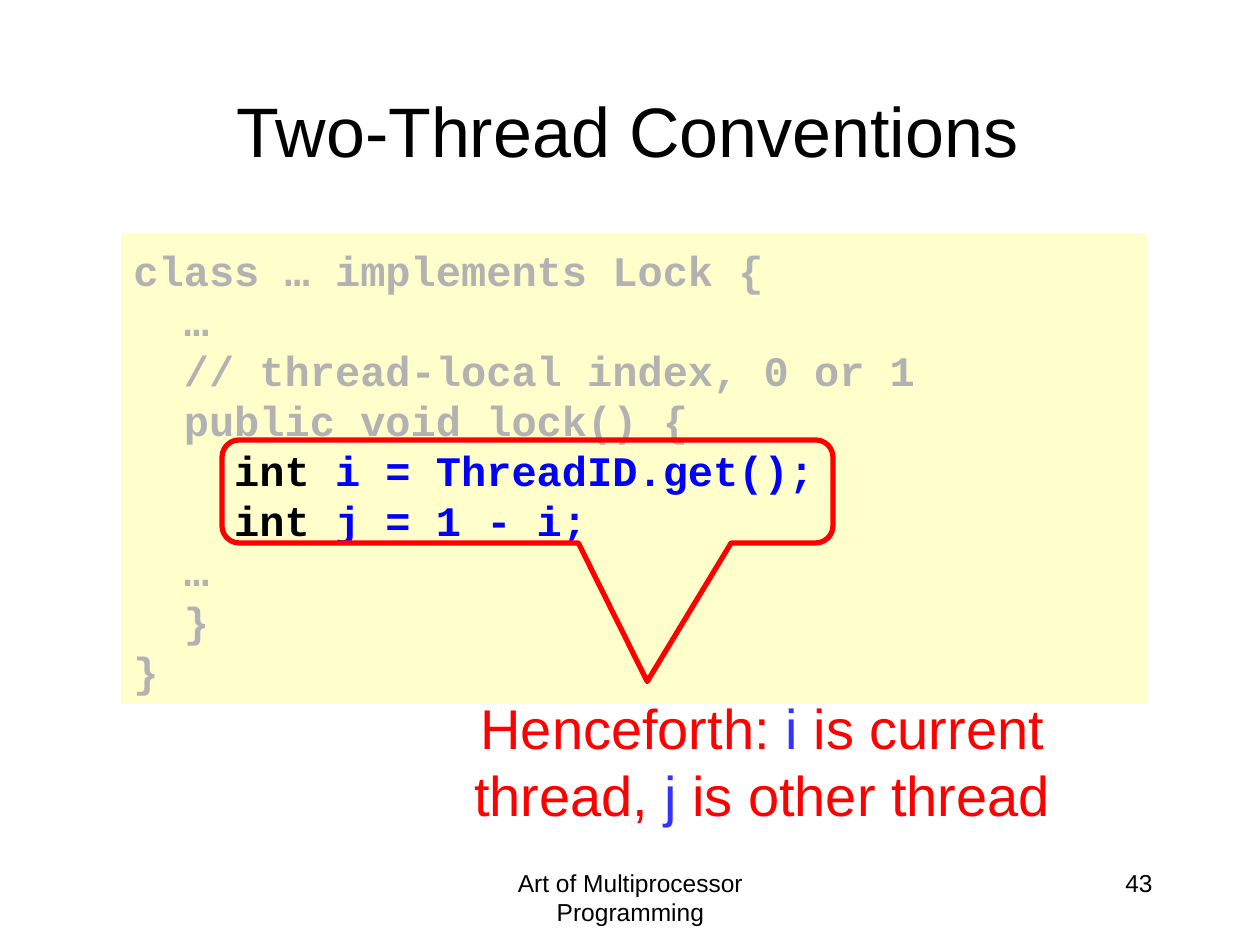
"""Build the Two-Thread Conventions slide."""
import pptx
import pptx.util
import pptx.dml.color
import pptx.enum.shapes
import pptx.enum.text

PX = 914400 / 126
ALIGN = pptx.enum.text.PP_ALIGN
ANCHOR = pptx.enum.text.MSO_ANCHOR
SHAPE = pptx.enum.shapes.MSO_SHAPE
GREY, BLUE, BLACK, RED, VIOLET = "B2B2B2", "0000FF", "000000", "FF0000", "3333FF"


def rgb(value):
    return pptx.dml.color.RGBColor.from_string(value)


def write(p, text, size=14, font="Arial", color=BLACK, bold=False, align=ALIGN.CENTER, spacing=None):
    p.alignment = align
    if spacing:
        p.line_spacing = pptx.util.Pt(spacing)
    r = p.add_run()
    r.text = text
    r.font.size = pptx.util.Pt(size)
    r.font.name = font
    r.font.bold = bold
    r.font.color.rgb = rgb(color)


prs = pptx.Presentation()
prs.slide_width, prs.slide_height = round(1260 * PX), round(945 * PX)
s = prs.slides.add_slide(prs.slide_layouts[5])

title = s.shapes.title
title.left, title.top, title.width, title.height = [round(v * PX) for v in (92, 50, 1071, 158)]
title.text_frame.vertical_anchor = ANCHOR.MIDDLE
write(title.text_frame.paragraphs[0], "Two-Thread Conventions", size=40)

footers = [
    (431, 399, "Art of Multiprocessor Programming", ALIGN.CENTER),
    (903, 262, "43", ALIGN.RIGHT),
]
for left, width, text, align in footers:
    sp = s.shapes.add_textbox(*[round(v * PX) for v in (left, 861, width, 63)])
    sp.text_frame.word_wrap = True
    write(sp.text_frame.paragraphs[0], text, align=align, spacing=17)

code = s.shapes.add_shape(SHAPE.RECTANGLE, *[round(v * PX) for v in (121, 233, 1026, 471)])
code.shadow.inherit = False
code.fill.solid()
code.fill.fore_color.rgb = rgb("FFFFCC")
code.line.fill.background()
tf = code.text_frame
tf.word_wrap = True
tf.vertical_anchor = ANCHOR.TOP
tf.margin_top = round(12 * PX)
lines = [
    [("class … implements Lock {", GREY)],
    [("  …", GREY)],
    [("  // thread-local index, 0 or 1", GREY)],
    [("  public void lock() {", GREY)],
    [("    int", BLACK), (" i = ThreadID.get();", BLUE)],
    [("    int ", BLACK), ("j = 1 - i;", BLUE)],
    [("  …", GREY)],
    [("  }", GREY)],
    [("}", GREY)],
]
for i, runs in enumerate(lines):
    p = tf.paragraphs[0] if i == 0 else tf.add_paragraph()
    for text, color in runs:
        write(p, text, size=24, font="Courier New", color=color, bold=True, align=ALIGN.LEFT, spacing=28.6)

callout = s.shapes.add_shape(SHAPE.ROUNDED_RECTANGULAR_CALLOUT, *[round(v * PX) for v in (222, 440, 611, 103)])
callout.shadow.inherit = False
callout.fill.background()
callout.line.color.rgb = rgb(RED)
callout.line.width = pptx.util.Pt(3)
for i, value in enumerate((0.196, 1.846, 0.167)):
    callout.adjustments[i] = value

note = s.shapes.add_textbox(*[round(v * PX) for v in (386, 687, 753, 147)])
note.text_frame.word_wrap = True
p = note.text_frame.paragraphs[0]
for text, color in [
    ("Henceforth: ", RED),
    ("i", VIOLET),
    (" is current thread, ", RED),
    ("j", VIOLET),
    (" is other thread", RED),
]:
    write(p, text, size=32, color=color)

prs.save("out.pptx")
